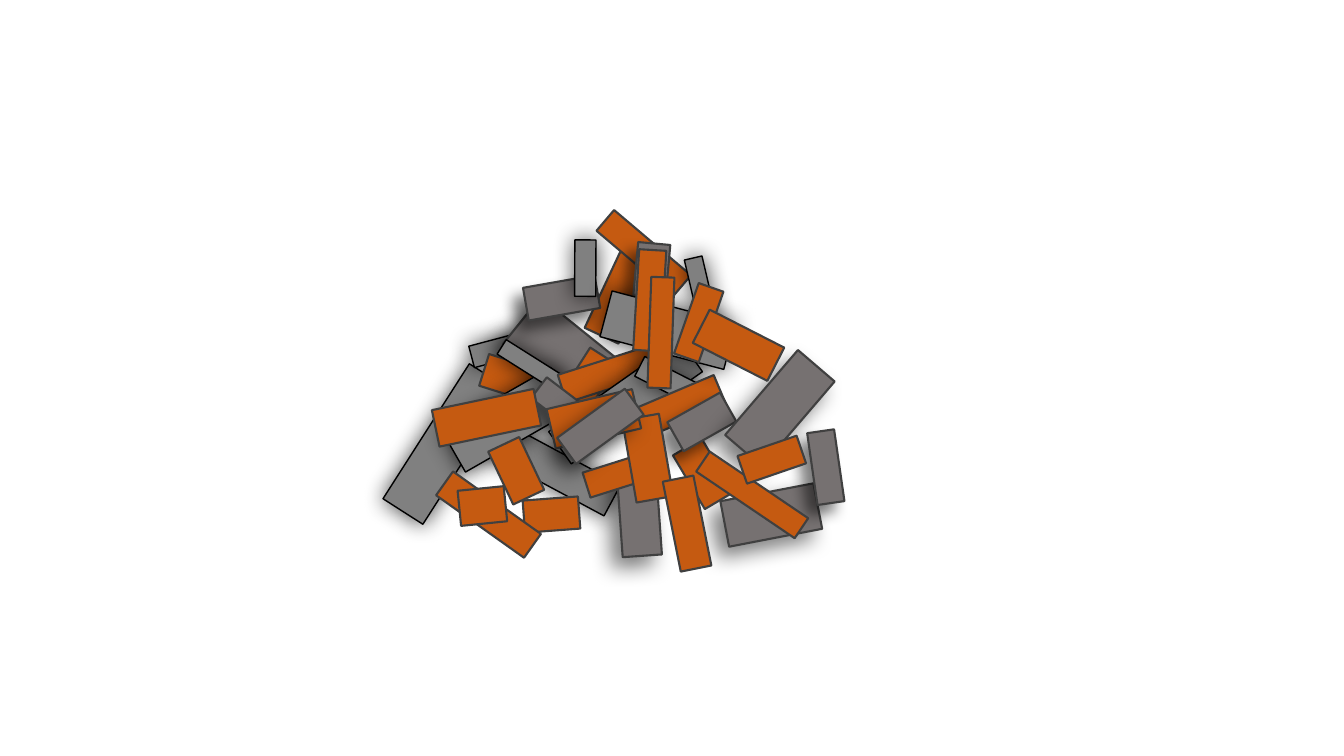
from dataclasses import dataclass
from typing import Optional

from lxml.etree import SubElement
from pptx import Presentation
from pptx.dml.color import RGBColor
from pptx.enum.shapes import MSO_SHAPE
from pptx.oxml.ns import qn
from pptx.util import Inches, Pt

BLACK = RGBColor(0x00, 0x00, 0x00)
CHARCOAL = RGBColor(0x40, 0x40, 0x40)
MID_GRAY = RGBColor(0x80, 0x80, 0x80)
WARM_GRAY = RGBColor(0x76, 0x71, 0x71)
RUST = RGBColor(0xC5, 0x5A, 0x11)


@dataclass(frozen=True)
class Shadow:
    """Opacity in percent, blur and distance in points, direction in degrees."""
    opacity: int
    blur: int
    distance: int
    direction: int


@dataclass(frozen=True)
class Material:
    fill: RGBColor
    outline: RGBColor
    outline_width: float
    shadow: Optional[Shadow] = None


CONCRETE = Material(MID_GRAY, BLACK, 1, Shadow(70, 16, 0, 0))
SLAB = Material(WARM_GRAY, CHARCOAL, 1.5, Shadow(50, 15, 10, 135))
STONE = Material(WARM_GRAY, CHARCOAL, 1.5, Shadow(50, 10, 10, 135))
BRICK = Material(RUST, CHARCOAL, 1.5)

# Back to front: material, left, top, width, height, rotation
RUBBLE = [
    (CONCRETE, 4.19, 3.61, 0.47, 1.59, 32.6),
    (CONCRETE, 4.93, 3.07, 0.22, 0.75, 75.1),
    (SLAB, 5.05, 3.23, 1.11, 0.6, 218.8),
    (BRICK, 4.99, 3.41, 0.33, 0.74, 287.4),
    (BRICK, 6, 2.35, 0.37, 1.03, 25.1),
    (STONE, 5.21, 2.79, 0.72, 0.33, 170),
    (CONCRETE, 5.22, 3.83, 0.35, 1.54, 298.2),
    (CONCRETE, 5.7, 2.38, 0.21, 0.56, 0.3),
    (BRICK, 5.68, 3.49, 0.32, 0.55, 212.6),
    (BRICK, 6.25, 2.01, 0.27, 1, 310.3),
    (STONE, 6.2, 2.52, 0.53, 0.32, 95.2),
    (CONCRETE, 4.8, 3.54, 0.48, 1.25, 60.2),
    (CONCRETE, 5.22, 3.26, 0.17, 0.78, 122.3),
    (SLAB, 5.9, 4.88, 0.88, 0.39, 266),
    (BRICK, 4.95, 4.38, 0.34, 0.58, 334.6),
    (BRICK, 5.94, 3.16, 0.29, 1.07, 72.3),
    (STONE, 5.27, 3.94, 0.74, 0.26, 217.2),
    (CONCRETE, 6.01, 3.19, 0.39, 1.59, 54.9),
    (CONCRETE, 6.52, 3.46, 0.22, 0.64, 117),
    (SLAB, 7.18, 4.88, 0.94, 0.46, 349.1),
    (BRICK, 6.81, 4.39, 0.33, 0.62, 329.3),
    (BRICK, 6.51, 3.55, 0.31, 1.03, 67),
    (STONE, 6.66, 4.02, 0.6, 0.33, 150.6),
    (CONCRETE, 6.39, 2.64, 0.47, 1.27, 284.8),
    (CONCRETE, 6.87, 2.55, 0.18, 0.75, 346.9),
    (SLAB, 7.18, 3.81, 1.11, 0.48, 130.6),
    (BRICK, 6.8, 2.83, 0.26, 0.74, 199.3),
    (BRICK, 7.14, 3.01, 0.37, 0.83, 297),
    (STONE, 7.83, 4.5, 0.72, 0.27, 81.8),
    (BRICK, 4.64, 3.63, 0.37, 1.03, 78.2),
    (BRICK, 5.31, 4.83, 0.32, 0.55, 265.7),
    (BRICK, 6.31, 2.48, 0.27, 1, 3.4),
    (BRICK, 4.7, 4.57, 0.29, 1.07, 125.4),
    (BRICK, 6.04, 4.33, 0.26, 0.74, 252.4),
    (BRICK, 6.24, 4.13, 0.37, 0.83, 350.1),
    (BRICK, 5.69, 3.72, 0.4, 0.87, 76.8),
    (BRICK, 4.61, 4.79, 0.35, 0.46, 264.3),
    (BRICK, 6.44, 2.75, 0.23, 1.1, 2),
    (BRICK, 7.34, 4.32, 0.24, 1.18, 124.1),
    (BRICK, 7.51, 4.25, 0.29, 0.62, 251),
    (BRICK, 6.66, 4.74, 0.31, 0.91, 348.7),
    (SLAB, 5.54, 4.07, 0.83, 0.32, 144),
]


class RubbleSlide:
    def __init__(self, presentation):
        self.slide = presentation.slides.add_slide(presentation.slide_layouts[6])

    def add_block(self, material, left, top, width, height, rotation):
        shape = self.slide.shapes.add_shape(
            MSO_SHAPE.RECTANGLE, Inches(left), Inches(top), Inches(width), Inches(height))
        shape.rotation = rotation
        shape.fill.solid()
        shape.fill.fore_color.rgb = material.fill
        shape.line.color.rgb = material.outline
        shape.line.width = Pt(material.outline_width)
        shape.shadow.inherit = False
        if material.shadow:
            self.cast_shadow(shape, material.shadow)

    def cast_shadow(self, shape, shadow):
        """Fill the block's effect list with a black outer shadow."""
        effects = shape._element.spPr.find(qn("a:effectLst"))
        outer = SubElement(
            effects, qn("a:outerShdw"), blurRad=str(Pt(shadow.blur)),
            dist=str(Pt(shadow.distance)), dir=str(shadow.direction * 60000),
            algn="ctr", rotWithShape="0")
        color = SubElement(outer, qn("a:srgbClr"), val=str(BLACK))
        SubElement(color, qn("a:alpha"), val=str(shadow.opacity * 1000))


def main():
    presentation = Presentation()
    presentation.slide_width = Inches(13.33)
    presentation.slide_height = Inches(7.5)
    rubble_slide = RubbleSlide(presentation)
    for block in RUBBLE:
        rubble_slide.add_block(*block)
    presentation.save("out.pptx")


if __name__ == "__main__":
    main()
